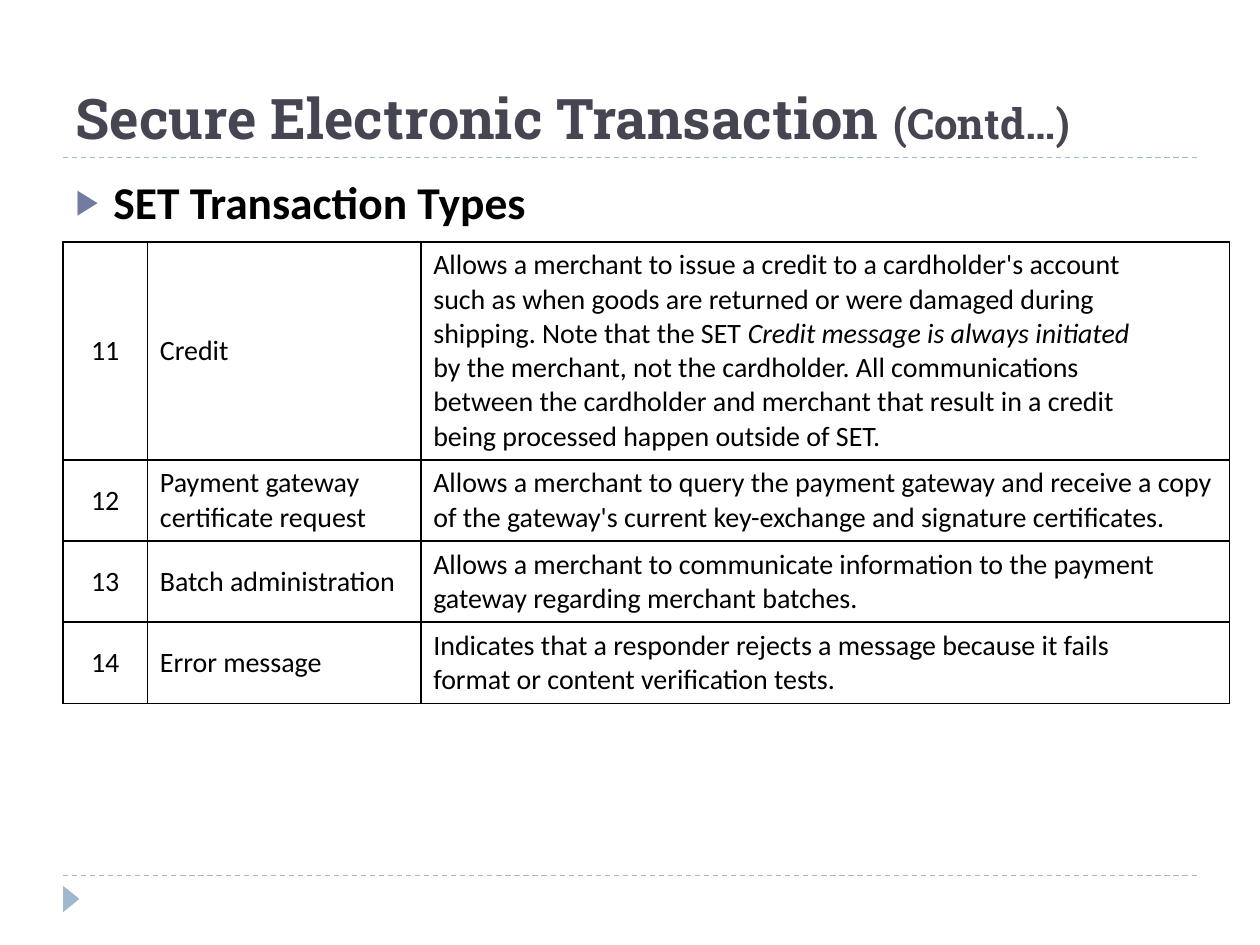
from lxml.etree import SubElement as Sub
from pptx import Presentation
from pptx.dml.color import RGBColor as RGB
from pptx.enum.dml import MSO_LINE as Dash
from pptx.enum.shapes import MSO_CONNECTOR as Conn, MSO_SHAPE as Shape
from pptx.enum.text import MSO_ANCHOR as Anchor, PP_ALIGN as Align
from pptx.oxml.ns import qn
from pptx.util import Inches, Pt

INK = RGB(0x00, 0x00, 0x00)
SLATE = RGB(0x46, 0x46, 0x53)
BLUE = RGB(0x9F, 0xB8, 0xCD)
MARK = RGB(0x72, 0x7C, 0xA3)

COLS = [0.67, 2.17, 6.42]
ROWS = [
    (1.73, "11", "Credit", [
        "Allows a merchant to issue a credit to a cardholder's account",
        "such as when goods are returned or were damaged during",
        "shipping. Note that the SET *Credit message is always initiated*",
        "by the merchant, not the cardholder. All communications",
        "between the cardholder and merchant that result in a credit",
        "being processed happen outside of SET."]),
    (0.64, "12", "Payment gateway certificate request", [
        "Allows a merchant to query the payment gateway and receive a copy "
        "of the gateway's current key-exchange and signature certificates."]),
    (0.64, "13", "Batch administration", [
        "Allows a merchant to communicate information to the payment "
        "gateway regarding merchant batches."]),
    (0.64, "14", "Error message", [
        "Indicates that a responder rejects a message because it fails",
        "format or content verification tests."]),
]


def place(shape, box):
    shape.left, shape.top, shape.width, shape.height = map(Inches, box)


def style(para, name, size, color, bold=False):
    font = para.font
    font.name, font.size, font.bold = name, Pt(size), bold
    font.color.rgb = color


def add_rule(slide, left, top, width):
    line = slide.shapes.add_connector(
        Conn.STRAIGHT, Inches(left), Inches(top), Inches(left + width), Inches(top))
    line.line.color.rgb = BLUE
    line.line.width = Pt(0.75)
    line.line.dash_style = Dash.DASH
    Sub(line._element.spPr, qn("a:effectLst"))


def add_arrow(slide, box):
    arrow = slide.shapes.add_shape(Shape.ISOSCELES_TRIANGLE, *map(Inches, box))
    arrow.rotation = 90
    arrow.shadow.inherit = False
    arrow.fill.solid()
    arrow.fill.fore_color.rgb = BLUE
    arrow.line.fill.background()


def fill_title(slide, box):
    title = slide.shapes.title
    place(title, box)
    frame = title.text_frame
    frame.vertical_anchor = Anchor.BOTTOM
    para = frame.paragraphs[0]
    para.alignment = Align.LEFT
    style(para, "Roboto Slab", 32, SLATE, True)
    para.add_run().text = "Secure Electronic Transaction "
    tail = para.add_run()
    tail.text = "(Contd…)"
    tail.font.size = Pt(24)


def fill_body(slide, box):
    body = slide.placeholders[1]
    place(body, box)
    para = body.text_frame.paragraphs[0]
    para.text = "SET Transaction Types"
    props = para._p.get_or_add_pPr()
    props.set("marL", str(Inches(0.3)))
    props.set("indent", str(Inches(-0.3)))
    Sub(Sub(props, qn("a:buClr")), qn("a:srgbClr"), val=str(MARK))
    Sub(props, qn("a:buSzPct"), val="76000")
    Sub(props, qn("a:buChar"), char="▶")
    style(para, "Calibri", 26, INK, True)


def add_border(cell):
    props = cell._tc.get_or_add_tcPr()
    for side in ("lnL", "lnR", "lnT", "lnB"):
        line = Sub(props, qn("a:" + side), w=str(Pt(1)))
        Sub(Sub(line, qn("a:solidFill")), qn("a:srgbClr"), val=str(INK))


def fill_cell(cell, lines, align):
    add_border(cell)
    cell.fill.background()
    cell.vertical_anchor = Anchor.MIDDLE
    frame = cell.text_frame
    for i, line in enumerate(lines):
        para = frame.add_paragraph() if i else frame.paragraphs[0]
        para.alignment = align
        style(para, "Calibri", 16, INK)
        for j, part in enumerate(line.split("*")):
            if part:
                run = para.add_run()
                run.text = part
                if j % 2:
                    run.font.italic = True


def add_grid(slide, box):
    table = slide.shapes.add_table(len(ROWS), len(COLS), *map(Inches, box)).table
    table.first_row = table.horz_banding = False
    for col, width in zip(table.columns, COLS):
        col.width = Inches(width)
    for row, (height, code, name, lines) in zip(table.rows, ROWS):
        row.height = Inches(height)
        num, kind, note = row.cells
        fill_cell(num, [code], Align.CENTER)
        fill_cell(kind, [name], Align.LEFT)
        fill_cell(note, lines, Align.LEFT)


def main():
    deck = Presentation()
    deck.slide_width, deck.slide_height = Inches(10), Inches(7.5)
    slide = deck.slides.add_slide(deck.slide_layouts[1])
    for top in (6.95, 1.25):
        add_rule(slide, 0.5, top, 9)
    add_arrow(slide, (0.46, 7.07, 0.21, 0.13))
    fill_title(slide, (0.5, 0.17, 9, 1.08))
    fill_body(slide, (0.5, 1.33, 9, 5.4))
    add_grid(slide, (0.5, 1.92, 9.26, 3.65))
    deck.save("out.pptx")


if __name__ == "__main__":
    main()
